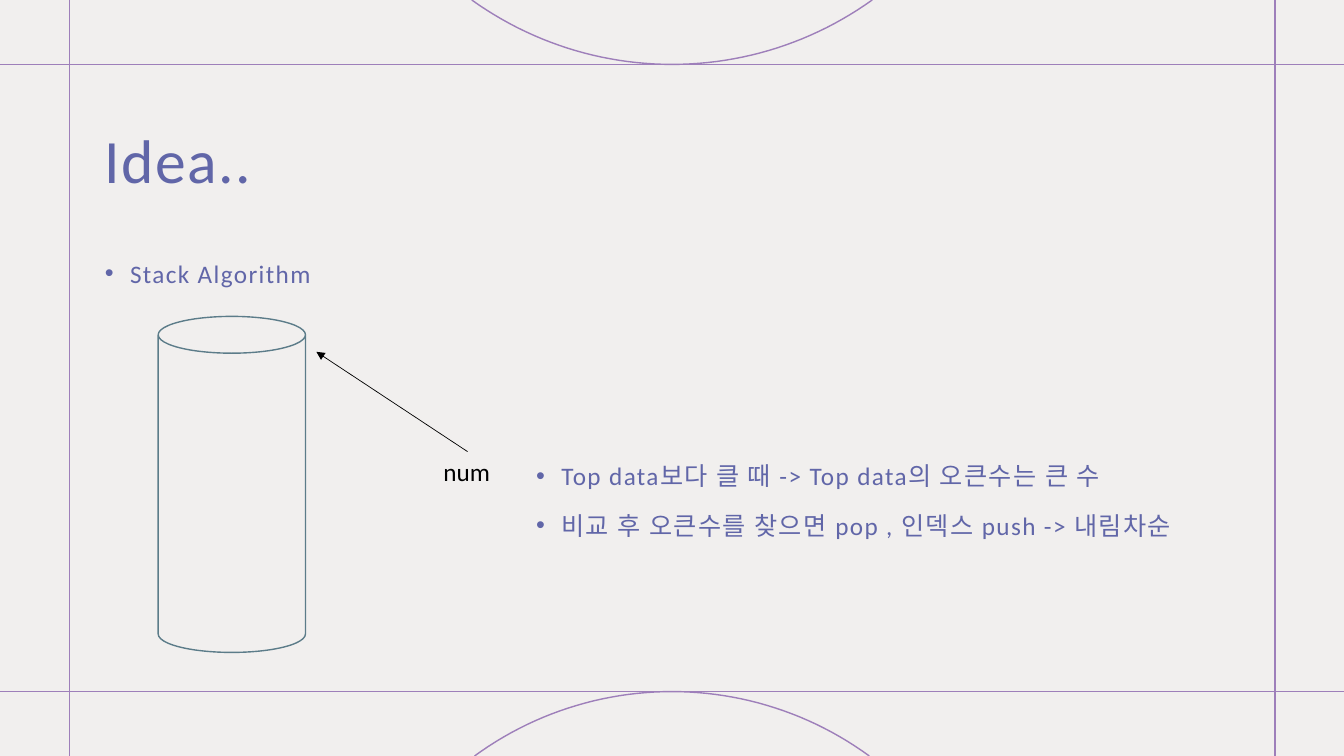
from math import asin, cos, sin

from lxml.etree import SubElement
from pptx import Presentation
from pptx.dml.color import RGBColor
from pptx.enum.shapes import MSO_CONNECTOR, MSO_SHAPE
from pptx.enum.text import MSO_ANCHOR, MSO_AUTO_SIZE
from pptx.oxml.ns import qn
from pptx.util import Pt

COLORS = {
    "paper": "F1EFEE",
    "frame": "9E7FBA",
    "heading": "6166A8",
    "stack": "5C7C89",
    "ink": "000000",
}
FONT = "Calibri"
WIDTH, HEIGHT = 960, 540
FRAME_LEFT, FRAME_RIGHT = 49.7, 910.8
FRAME_TOP, FRAME_BOTTOM = 46, 494
PLACEHOLDER_INSETS = (8.64, 8.64, 8.64, 7.2)
BULLET_INDENT = 18


def rgb(name):
    return RGBColor.from_string(COLORS[name])


def add_line(slide, start, end, color, weight=1, arrow=False):
    line = slide.shapes.add_connector(
        MSO_CONNECTOR.STRAIGHT, *(Pt(value) for value in (*start, *end)))
    line.line.color.rgb = rgb(color)
    line.line.width = Pt(weight)
    if arrow:
        SubElement(line.line._get_or_add_ln(), qn("a:tailEnd"), type="triangle")
    SubElement(line._element.spPr, qn("a:effectLst"))


def style_outline(shape, color):
    shape.shadow.inherit = False
    shape.fill.background()
    shape.line.color.rgb = rgb(color)
    shape.line.width = Pt(1)


def add_arc(slide, tip_y, edge_y, half_width, steps=48):
    """Draw a circular arc that touches tip_y and ends on the slide edge."""
    rise = edge_y - tip_y
    radius = (half_width ** 2 + rise ** 2) / (2 * abs(rise))
    sweep = asin(half_width / radius)
    direction = 1 if rise > 0 else -1
    points = []
    for step in range(steps + 1):
        angle = sweep * (2 * step / steps - 1)
        x = WIDTH / 2 + radius * sin(angle)
        y = tip_y + direction * radius * (1 - cos(angle))
        points.append((Pt(x), Pt(y)))
    builder = slide.shapes.build_freeform(*points[0])
    builder.add_line_segments(points[1:], close=False)
    style_outline(builder.convert_to_shape(), "frame")


def add_bullet(paragraph):
    properties = paragraph._p.get_or_add_pPr()
    properties.set("marL", str(Pt(BULLET_INDENT)))
    properties.set("indent", str(-Pt(BULLET_INDENT)))
    SubElement(properties, qn("a:buFont"), typeface="Arial")
    SubElement(properties, qn("a:buChar"), char="•")


def add_text(slide, text, box, size=18, color="heading", tracking=1,
             insets=PLACEHOLDER_INSETS, anchor=MSO_ANCHOR.TOP, wrap=True,
             line_spacing=None, space_before=0, bullet=False):
    """Add a text box with one paragraph for each line of text."""
    textbox = slide.shapes.add_textbox(*(Pt(value) for value in box))
    frame = textbox.text_frame
    frame.word_wrap = wrap
    frame.auto_size = MSO_AUTO_SIZE.NONE if wrap else MSO_AUTO_SIZE.SHAPE_TO_FIT_TEXT
    frame.vertical_anchor = anchor
    (frame.margin_left, frame.margin_top,
     frame.margin_right, frame.margin_bottom) = (Pt(inset) for inset in insets)
    frame.text = text
    for paragraph in frame.paragraphs:
        paragraph.line_spacing = line_spacing
        paragraph.space_before = Pt(space_before)
        if bullet:
            add_bullet(paragraph)
        for run in paragraph.runs:
            run.font.name = FONT
            run.font.size = Pt(size)
            run.font.color.rgb = rgb(color)
            run.font._element.set("spc", str(tracking * 100))


def add_bullets(slide, text, box):
    add_text(slide, text, box, line_spacing=1.17, space_before=10, bullet=True)


def add_frame(slide):
    for y in (FRAME_BOTTOM, FRAME_TOP):
        add_line(slide, (0, y), (WIDTH, y), "frame")
    for x in (FRAME_RIGHT, FRAME_LEFT):
        add_line(slide, (x, HEIGHT), (x, 0), "frame")
    add_arc(slide, FRAME_TOP, 0, half_width=143)
    add_arc(slide, FRAME_BOTTOM, HEIGHT, half_width=141)


def add_stack(slide, box):
    stack = slide.shapes.add_shape(MSO_SHAPE.CAN, *(Pt(value) for value in box))
    style_outline(stack, "stack")


def main():
    deck = Presentation()
    deck.slide_width, deck.slide_height = Pt(WIDTH), Pt(HEIGHT)
    slide = deck.slides.add_slide(deck.slide_layouts[6])
    slide.background.fill.solid()
    slide.background.fill.fore_color.rgb = rgb("paper")

    add_frame(slide)
    add_text(slide, "Idea..", (66.24, 57.6, 828, 104.4), size=44,
             anchor=MSO_ANCHOR.MIDDLE, line_spacing=1.1)
    add_bullets(slide, "Stack Algorithm", (66.24, 172, 828, 301))
    add_stack(slide, (113, 226, 105.2, 240))
    add_text(slide, "num", (309.6, 322.6, 48.2, 28.8), color="ink", tracking=0,
             insets=(7.2, 3.6, 7.2, 3.6), wrap=False)
    add_line(slide, (334, 322.6), (226, 251.3), "ink", weight=0.5, arrow=True)
    add_bullets(slide,
                "Top data보다 클 때 -> Top data의 오큰수는 큰 수\n"
                "비교 후 오큰수를 찾으면 pop , 인덱스 push -> 내림차순",
                (374.4, 316.8, 532.8, 41.8))
    deck.save("out.pptx")


if __name__ == "__main__":
    main()
